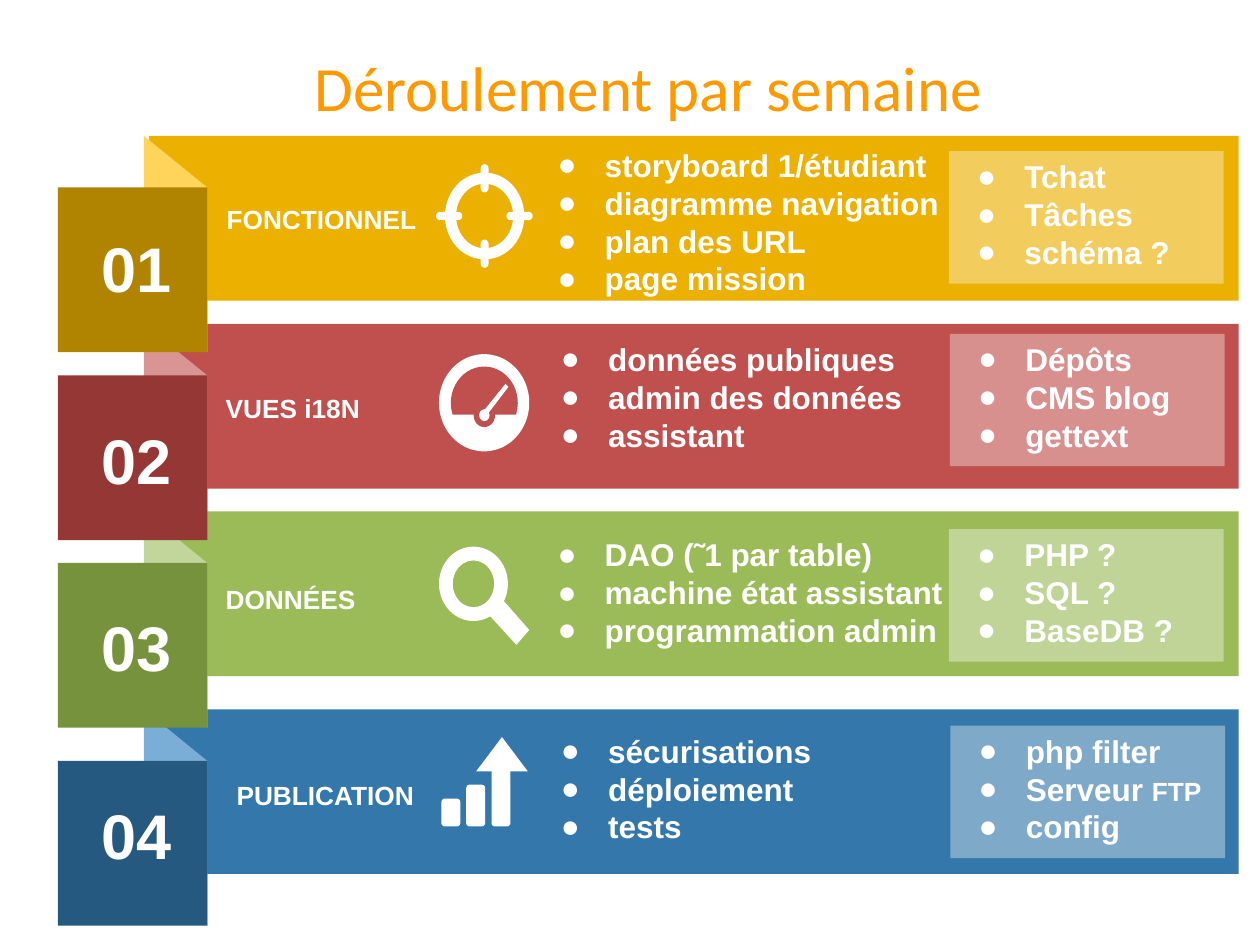
from lxml import etree
from pptx import Presentation
from pptx.dml.color import RGBColor
from pptx.enum.shapes import MSO_SHAPE
from pptx.enum.text import MSO_ANCHOR, PP_ALIGN
from pptx.oxml.ns import qn
from pptx.util import Cm, Pt

RECT, ROUNDED = MSO_SHAPE.RECTANGLE, MSO_SHAPE.ROUNDED_RECTANGLE
OVAL, DONUT, CHORD = MSO_SHAPE.OVAL, MSO_SHAPE.DONUT, MSO_SHAPE.CHORD
TRIANGLE = MSO_SHAPE.ISOSCELES_TRIANGLE
TOP, MIDDLE = MSO_ANCHOR.TOP, MSO_ANCHOR.MIDDLE
LEFT, CENTER = PP_ALIGN.LEFT, PP_ALIGN.CENTER

WHITE = RGBColor(0xFF, 0xFF, 0xFF)
ORANGE = RGBColor(0xFF, 0x99, 0x00)
YELLOW, YELLOW_LIGHT, YELLOW_DARK = (
    RGBColor(0xEB, 0xB0, 0x00), RGBColor(0xFF, 0xD4, 0x5A), RGBColor(0xB0, 0x84, 0x00))
RED, RED_LIGHT, RED_DARK = (
    RGBColor(0xC0, 0x50, 0x4D), RGBColor(0xD9, 0x95, 0x93), RGBColor(0x95, 0x37, 0x34))
GREEN, GREEN_LIGHT, GREEN_DARK = (
    RGBColor(0x9B, 0xBB, 0x59), RGBColor(0xC2, 0xD5, 0x9B), RGBColor(0x76, 0x92, 0x3C))
BLUE, BLUE_LIGHT, BLUE_DARK = (
    RGBColor(0x34, 0x77, 0xAA), RGBColor(0x7A, 0xAE, 0xD6), RGBColor(0x26, 0x59, 0x7F))

BAND_H = 3.32
FOLD_X, FOLD_W, FOLD_DROP = 2.9, 1.28, 1.04
SMALL = 15

# Lengths in cm: top, colours, label x and y, number y, tasks x and y, tools x and y
WEEKS = [
    (2.74, (YELLOW, YELLOW_LIGHT, YELLOW_DARK), "FONCTIONNEL", (4.32, 3.15), 4.11,
     (10.67, 2.82), ["storyboard 1/étudiant", "diagramme navigation", "plan des URL", "page mission"],
     (19.13, 3.05), ["Tchat", "Tâches", "schéma ?"]),
    (6.53, (RED, RED_LIGHT, RED_DARK), "VUES i18N", (4.3, 6.96), 7.98,
     (10.74, 6.73), ["données publiques", "admin des données", "assistant"],
     (19.15, 6.73), ["Dépôts", "CMS blog", "gettext"]),
    (10.31, (GREEN, GREEN_LIGHT, GREEN_DARK), "DONNÉES", (4.3, 10.8), 11.76,
     (10.67, 10.67), ["DAO (˜1 par table)", "machine état assistant", "programmation admin"],
     (19.13, 10.67), ["PHP ?", "SQL ?", "BaseDB ?"]),
    (14.3, (BLUE, BLUE_LIGHT, BLUE_DARK), "PUBLICATION", (4.52, 14.76), 15.54,
     (10.74, 14.63), ["sécurisations", "déploiement", "tests"],
     (19.16, 14.63), ["php filter", "Serveur |FTP", "config"]),
]


def paint(s, color):
    s.shadow.inherit = False
    s.fill.solid()
    s.fill.fore_color.rgb = color
    s.line.fill.background()


def write(s, lines, size, font="Arial", color=WHITE, bold=True, align=LEFT,
          anchor=MIDDLE, bullets=False, wrap=True):
    """Fill a shape with one paragraph per line; what follows a | is set small."""
    tf = s.text_frame
    tf.word_wrap = wrap
    tf.vertical_anchor = anchor
    for i, line in enumerate(lines):
        p = tf.add_paragraph() if i else tf.paragraphs[0]
        p.alignment = align
        p.font.name, p.font.size, p.font.bold = font, Pt(size), bold
        p.font.color.rgb = color
        for j, part in enumerate(line.split("|")):
            r = p.add_run()
            r.text = part
            if j:
                r.font.size = Pt(SMALL)
        if bullets:
            pPr = p._p.get_or_add_pPr()
            pPr.set("marL", str(Cm(1.27)))
            pPr.set("indent", str(-Cm(0.95)))
            bu_color = etree.Element(qn("a:buClr"))
            etree.SubElement(bu_color, qn("a:srgbClr"), val=str(color))
            pPr.insert(0, bu_color)
            pPr.insert(1, etree.Element(qn("a:buFont"), typeface=font))
            pPr.insert(2, etree.Element(qn("a:buChar"), char="●"))


prs = Presentation()
prs.slide_width, prs.slide_height = Cm(25.4), Cm(19.05)
shapes = prs.slides.add_slide(prs.slide_layouts[6]).shapes

title = shapes.add_textbox(Cm(1.17), Cm(0.76), Cm(23.8), Cm(1.98))
write(title, ["Déroulement par semaine"], 36, "Calibri", ORANGE, False, CENTER)

# Weeks from the bottom up, so that each square covers the fold below it
for number, week in reversed(list(enumerate(WEEKS, 1))):
    top, colors, label, label_at, number_y, tasks_at, tasks, tools_at, tools = week
    main, light, dark = colors
    band = shapes.add_shape(RECT, Cm(3), Cm(top), Cm(21.97), Cm(BAND_H))
    paint(band, main)

    fb = shapes.build_freeform(Cm(FOLD_X), Cm(top))
    right, bottom = FOLD_X + FOLD_W, top + BAND_H
    fb.add_line_segments([(Cm(right), Cm(top + FOLD_DROP)), (Cm(right), Cm(bottom + FOLD_DROP)),
                          (Cm(FOLD_X), Cm(bottom))])
    paint(fb.convert_to_shape(), light)

    square = shapes.add_shape(RECT, Cm(1.17), Cm(top + FOLD_DROP), Cm(3.01), Cm(BAND_H))
    paint(square, dark)
    s = shapes.add_textbox(Cm(1.78), Cm(number_y), Cm(1.93), Cm(2.54))
    write(s, [f"{number:02}"], 36, align=CENTER, wrap=False)

    s = shapes.add_textbox(*map(Cm, label_at), Cm(4.8), Cm(2.54))
    write(s, [label], SMALL)
    s = shapes.add_textbox(*map(Cm, tasks_at), Cm(8.69), Cm(2.54))
    write(s, tasks, 18, anchor=TOP, bullets=True)

    panel = shapes.add_shape(RECT, *map(Cm, tools_at), Cm(5.54), Cm(2.67))
    paint(panel, WHITE)
    rgb = panel.fill._xPr.find(qn("a:solidFill"))[0]
    etree.SubElement(rgb, qn("a:alpha"), val="37000")
    write(panel, tools, 18, anchor=TOP, bullets=True)

# Icons: preset, left, top, width, height, colour, adjustments
ICON_PARTS = [
    # target
    (DONUT, 8.97, 3.48, 1.6, 1.75, WHITE, [0.14]),
    (ROUNDED, 9.69, 3.31, 0.16, 0.57, WHITE, [0.5]),
    (ROUNDED, 9.69, 4.83, 0.16, 0.57, WHITE, [0.5]),
    (ROUNDED, 8.79, 4.27, 0.53, 0.17, WHITE, [0.5]),
    (ROUNDED, 10.21, 4.27, 0.53, 0.17, WHITE, [0.5]),
    # gauge
    (OVAL, 8.85, 7.14, 1.82, 1.96, WHITE, []),
    (CHORD, 9.09, 7.39, 1.35, 1.47, RED, [96, 12]),
    (OVAL, 9.55, 8.15, 0.43, 0.46, RED, []),
    (OVAL, 9.66, 8.25, 0.21, 0.24, WHITE, []),
    # magnifier
    (DONUT, 8.85, 11.02, 1.39, 1.5, WHITE, [0.2]),
    # growth chart
    (ROUNDED, 8.9, 16.1, 0.38, 0.56, WHITE, [0.17]),
    (ROUNDED, 9.4, 15.82, 0.38, 0.84, WHITE, [0.17]),
    (ROUNDED, 9.91, 15.47, 0.38, 1.19, WHITE, [0.17]),
    (TRIANGLE, 9.6, 14.86, 1.04, 0.69, WHITE, []),
]
for kind, x, y, w, h, color, adjustments in ICON_PARTS:
    s = shapes.add_shape(kind, Cm(x), Cm(y), Cm(w), Cm(h))
    paint(s, color)
    for i, value in enumerate(adjustments):
        s.adjustments[i] = value

NEEDLE = [(10.19, 7.74), (10.25, 7.8), (9.86, 8.31), (9.77, 8.26)]
HANDLE = [(10.16, 12.12), (10.67, 12.7), (10.41, 13), (9.88, 12.42)]
for points in (NEEDLE, HANDLE):
    start, *rest = [(Cm(x), Cm(y)) for x, y in points]
    fb = shapes.build_freeform(*start)
    fb.add_line_segments(rest)
    paint(fb.convert_to_shape(), WHITE)

prs.save("out.pptx")
